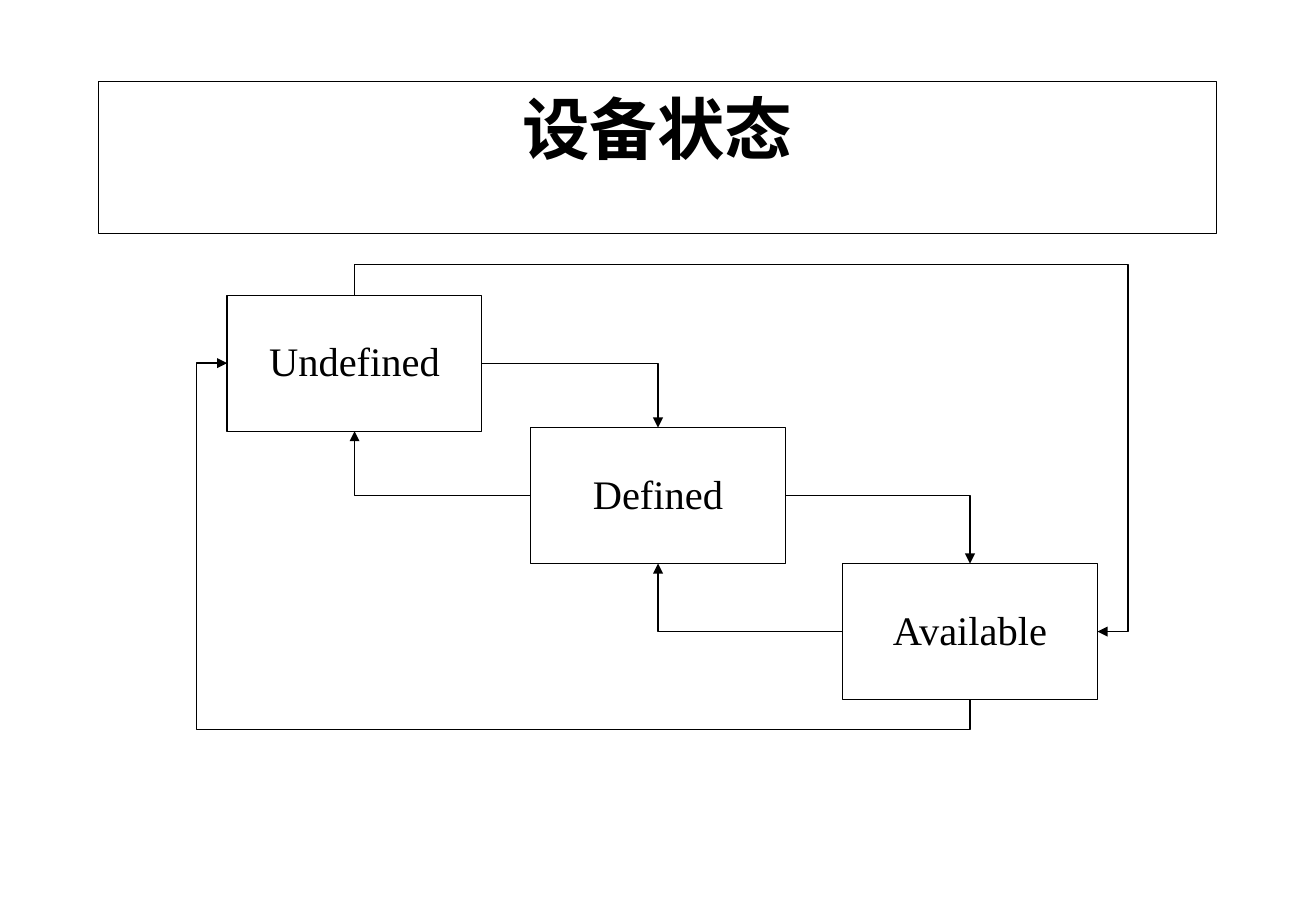
from pptx import Presentation, util as u
from pptx.dml.color import RGBColor
from pptx.enum import shapes, text
from pptx.oxml import parse_xml
from pptx.oxml.ns import nsdecls, qn

deck = Presentation()
deck.slide_width, deck.slide_height = u.Inches(10.84), u.Inches(7.5)
page = deck.slides.add_slide(deck.slide_layouts[6])
black = RGBColor.from_string("000000")
wide, high, out = 2.1, 1.12, 0.25


def box(words, x, y, w, h, size, bold, top):
    item = page.shapes.add_shape(shapes.MSO_SHAPE.RECTANGLE, *map(u.Inches, (x, y, w, h)))
    item.shadow.inherit = False
    item.fill.background()
    item.line.color.rgb = black
    item.line.width = u.Pt(0.75)
    frame = item.text_frame
    frame.word_wrap = True
    frame.vertical_anchor = text.MSO_ANCHOR.TOP
    frame.margin_top = u.Inches(top)
    frame.text = words
    line = frame.paragraphs[0]
    line.alignment = text.PP_ALIGN.CENTER
    font = line.runs[0].font
    font.name, font.size, font.bold = "Times New Roman", u.Pt(size), bold
    font.color.rgb = black


def link(start, end, kind, turn, flips, tip, bends=()):
    """Draw a bent arrow between two points; a quarter turn swaps its width and height."""
    (x1, y1), (x2, y2) = start, end
    w, h = x2 - x1, y2 - y1
    if turn == 270:
        w, h = h, w
    x, y = (x1 + x2 - w) / 2, (y1 + y2 - h) / 2
    wire = page.shapes.add_connector(
        shapes.MSO_CONNECTOR.ELBOW, *map(u.Inches, (x, y, x + w, y + h)))
    wire.line.color.rgb = black
    wire.line.width = u.Pt(0.75)
    props = wire._element.spPr
    frame = props.find(qn("a:xfrm"))
    frame.set("rot", str(turn * 60000))
    for flip in flips:
        frame.set("flip" + flip, "1")
    geom = props.find(qn("a:prstGeom"))
    geom.set("prst", kind)
    marks = "".join(f'<a:gd name="adj{n}" fmla="val {round(share * 100000)}"/>'
                    for n, share in enumerate(bends, 1))
    for old in list(geom):
        geom.remove(old)
    geom.append(parse_xml(f'<a:avLst {nsdecls("a")}>{marks}</a:avLst>'))
    props.find(qn("a:ln")).append(parse_xml(f'<a:{tip} {nsdecls("a")} type="triangle"/>'))
    props.append(parse_xml(f'<a:effectLst {nsdecls("a")}/>'))


box("设备状态", 0.81, 0.67, 9.21, 1.25, 40, True, 0.05)

states = [("Undefined", 1.87, 2.43), ("Defined", 4.37, 3.52), ("Available", 6.94, 4.64)]
ports = []
for name, x, y in states:
    box(name, x, y, wide, high, 24, False, 0.34)
    midx, midy = x + wide / 2, y + high / 2
    ports.append({"left": (x, midy), "right": (x + wide, midy),
                  "top": (midx, y), "base": (midx, y + high)})

for one, two in zip(ports, ports[1:]):
    link(one["right"], two["top"], "bentConnector2", 0, "", "tailEnd")
    link(one["base"], two["left"], "bentConnector2", 270, "H", "headEnd")

first, last = ports[0], ports[-1]
spanx = last["base"][0] - first["left"][0]
spany = last["base"][1] - first["left"][1]
link(first["left"], last["base"], "bentConnector4", 180, "HV", "headEnd",
     (-out / spanx, 1 + out / spany))
link(first["top"], last["right"], "bentConnector4", 270, "H", "tailEnd",
     (-out / spany, 1 + out / spanx))

deck.save("out.pptx")
